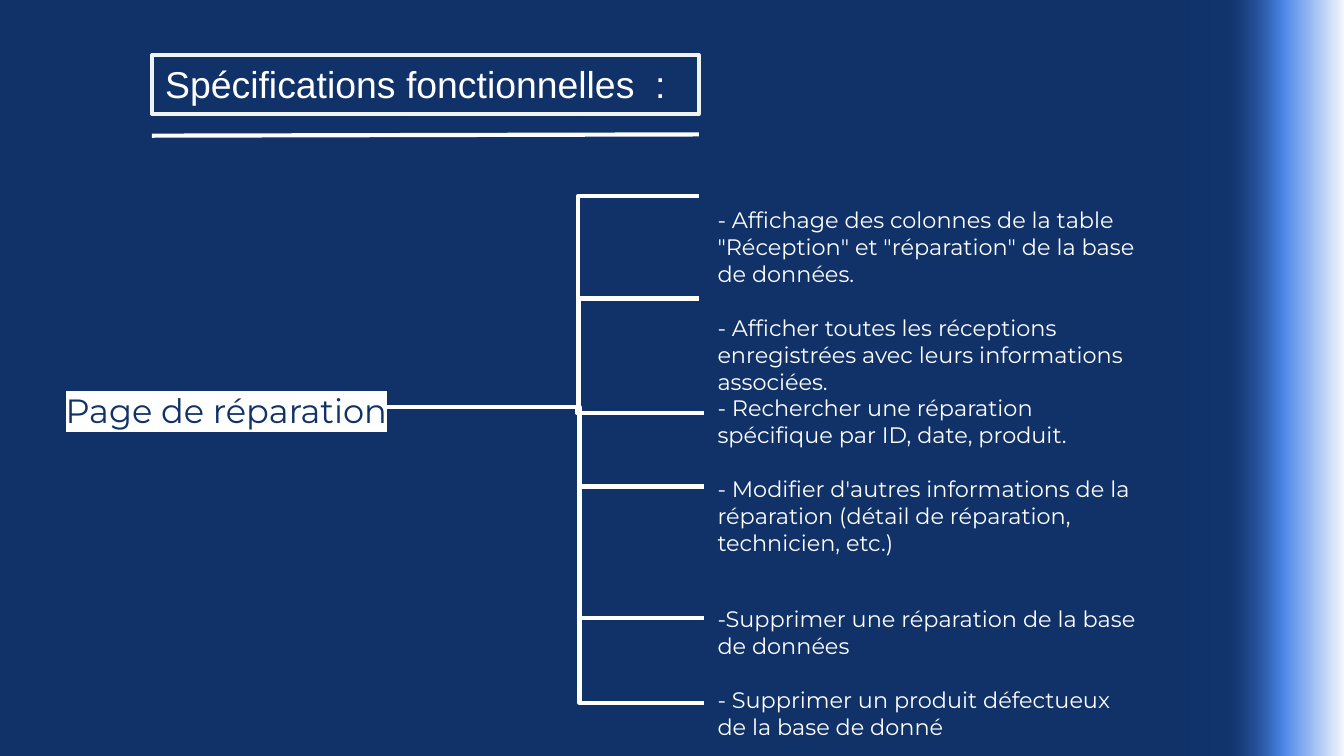
import pptx
import pptx.dml.color
import pptx.enum.shapes
import pptx.enum.text
import pptx.oxml
import pptx.oxml.ns
import pptx.util
from lxml import etree

Pt = pptx.util.Pt
COLORS = {"navy": "103269", "white": "FFFFFF", "frame": "F1F2F2",
          "deep": "1C4587", "sky": "4A86E8"}
GLOW_STOPS = [(0, "deep", 0), (32, "deep", 15), (63, "sky", 100), (100, "white", 100)]
FEATURES = [
    ('- Affichage des colonnes de la table "Réception" et "réparation" de la base de données.', 14.4),
    ("- Afficher toutes les réceptions enregistrées avec leurs informations associées.", 0),
    ("- Rechercher une réparation spécifique par ID, date, produit.", 14.4),
    ("- Modifier d'autres informations de la réparation (détail de réparation, technicien, etc.)", 26.6),
    ("-Supprimer une réparation de la base de données", 14.4),
    ("- Supprimer un produit défectueux de la base de donné", 0),
]
BRANCHES = [
    (36, 102.3, 167, 0), (36, 103, 167, 54.9), (41.8, 101.7, 170, 116),
    (36, 103, 170, 155.5), (36, 103, 170, 226), (0, 103, 170, 271.5),
]


def rgb(name):
    """Return the named colour."""
    return pptx.dml.color.RGBColor.from_string(COLORS[name])


def add_run(paragraph, text, size, font, color):
    """Add one styled run to a paragraph."""
    run = paragraph.add_run()
    run.text = text
    run.font.size = Pt(size)
    run.font.name = font
    run.font.color.rgb = rgb(color)
    return run


def add_text_box(slide, left, top, width, height, anchor):
    """Add a wrapping text box and return its text frame."""
    frame = slide.shapes.add_textbox(Pt(left), Pt(top), Pt(width), Pt(height)).text_frame
    frame.word_wrap = True
    frame.vertical_anchor = anchor
    frame.margin_left = frame.margin_right = Pt(7.2)
    frame.margin_top = frame.margin_bottom = Pt(7.2)
    return frame


def add_line(slide, kind, start, end):
    """Add a white connector without a shadow."""
    line = slide.shapes.add_connector(kind, *(Pt(value) for value in (*start, *end)))
    line.line.color.rgb = rgb("white")
    line.line.width = Pt(2.25)
    etree.SubElement(line._element.spPr, pptx.oxml.ns.qn("a:effectLst"))
    return line


def add_glow(slide, left, top, width, height):
    """Draw the fading band at the right edge as a rotated rectangle."""
    shape = slide.shapes.add_shape(
        pptx.enum.shapes.MSO_SHAPE.RECTANGLE,
        Pt(left + (width - height) / 2), Pt(top + (height - width) / 2), Pt(height), Pt(width))
    shape.rotation = 90
    shape.shadow.inherit = False
    shape.line.fill.background()
    stops = "".join(
        f'<a:gs pos="{position * 1000}"><a:srgbClr val="{COLORS[color]}">'
        f'<a:alpha val="{opacity * 1000}"/></a:srgbClr></a:gs>'
        for position, color, opacity in GLOW_STOPS)
    gradient = pptx.oxml.parse_xml(
        f'<a:gradFill {pptx.oxml.ns.nsdecls("a")} rotWithShape="1"><a:gsLst>{stops}</a:gsLst>'
        '<a:lin ang="16200000" scaled="0"/></a:gradFill>')
    shape._element.spPr.find(pptx.oxml.ns.qn("a:prstGeom")).addnext(gradient)


def add_title(slide, left, top, width, height):
    """Draw the framed title and the rule below it."""
    shape = slide.shapes.add_shape(
        pptx.enum.shapes.MSO_SHAPE.RECTANGLE, Pt(left), Pt(top), Pt(width), Pt(height))
    shape.shadow.inherit = False
    shape.fill.solid()
    shape.fill.fore_color.rgb = rgb("navy")
    shape.line.color.rgb = rgb("frame")
    shape.line.width = Pt(2)
    frame = shape.text_frame
    frame.word_wrap = True
    frame.vertical_anchor = pptx.enum.text.MSO_ANCHOR.TOP
    paragraph = frame.paragraphs[0]
    paragraph.alignment = pptx.enum.text.PP_ALIGN.LEFT
    add_run(paragraph, "Spécifications fonctionnelles  :", 20, "Arial", "white")
    add_line(slide, pptx.enum.shapes.MSO_CONNECTOR.STRAIGHT,
             (left, top + height + 11.5), (left + width, top + height + 10.8))


def add_branches(slide, left, top, root):
    """Draw the elbow lines from the page label to each feature."""
    for start, trunk, end, height in BRANCHES:
        line = add_line(slide, pptx.enum.shapes.MSO_CONNECTOR.ELBOW,
                        (left + start, top + root), (left + end, top + height))
        bend = round((trunk - start) / (end - start) * 100000)
        geometry = line._element.spPr.find(pptx.oxml.ns.qn("a:prstGeom"))
        guides = geometry.get_or_add_avLst()
        etree.SubElement(guides, pptx.oxml.ns.qn("a:gd"), name="adj1", fmla=f"val {bend}")


def add_features(slide, left, top, width, height):
    """Write the list of functions of the page."""
    frame = add_text_box(slide, left, top, width, height, pptx.enum.text.MSO_ANCHOR.TOP)
    for index, (text, gap) in enumerate(FEATURES):
        paragraph = frame.add_paragraph() if index else frame.paragraphs[0]
        paragraph.space_after = Pt(gap)
        add_run(paragraph, text, 12, "Montserrat", "white")


def add_page_label(slide, left, top, width, height):
    """Write the highlighted name of the page."""
    frame = add_text_box(slide, left, top, width, height, pptx.enum.text.MSO_ANCHOR.BOTTOM)
    run = add_run(frame.paragraphs[0], "Page de réparation", 18, "Montserrat", "navy")
    highlight = pptx.oxml.parse_xml(
        f'<a:highlight {pptx.oxml.ns.nsdecls("a")}>'
        f'<a:srgbClr val="{COLORS["white"]}"/></a:highlight>')
    run._r.rPr.find(pptx.oxml.ns.qn("a:solidFill")).addnext(highlight)


def main():
    """Build and save the slide."""
    presentation = pptx.Presentation()
    presentation.slide_width = Pt(720)
    presentation.slide_height = Pt(405)
    slide = presentation.slides.add_slide(presentation.slide_layouts[6])
    slide.background.fill.solid()
    slide.background.fill.fore_color.rgb = rgb("navy")
    add_glow(slide, 627.5, -1, 93.6, 406.8)
    add_features(slide, 377.3, 103.4, 238.3, 301)
    add_title(slide, 81.4, 29.5, 293, 31.7)
    add_branches(slide, 207.4, 105.1, 113)
    add_page_label(slide, 28.1, 198.7, 264.2, 38.9)
    presentation.save("out.pptx")


if __name__ == "__main__":
    main()
